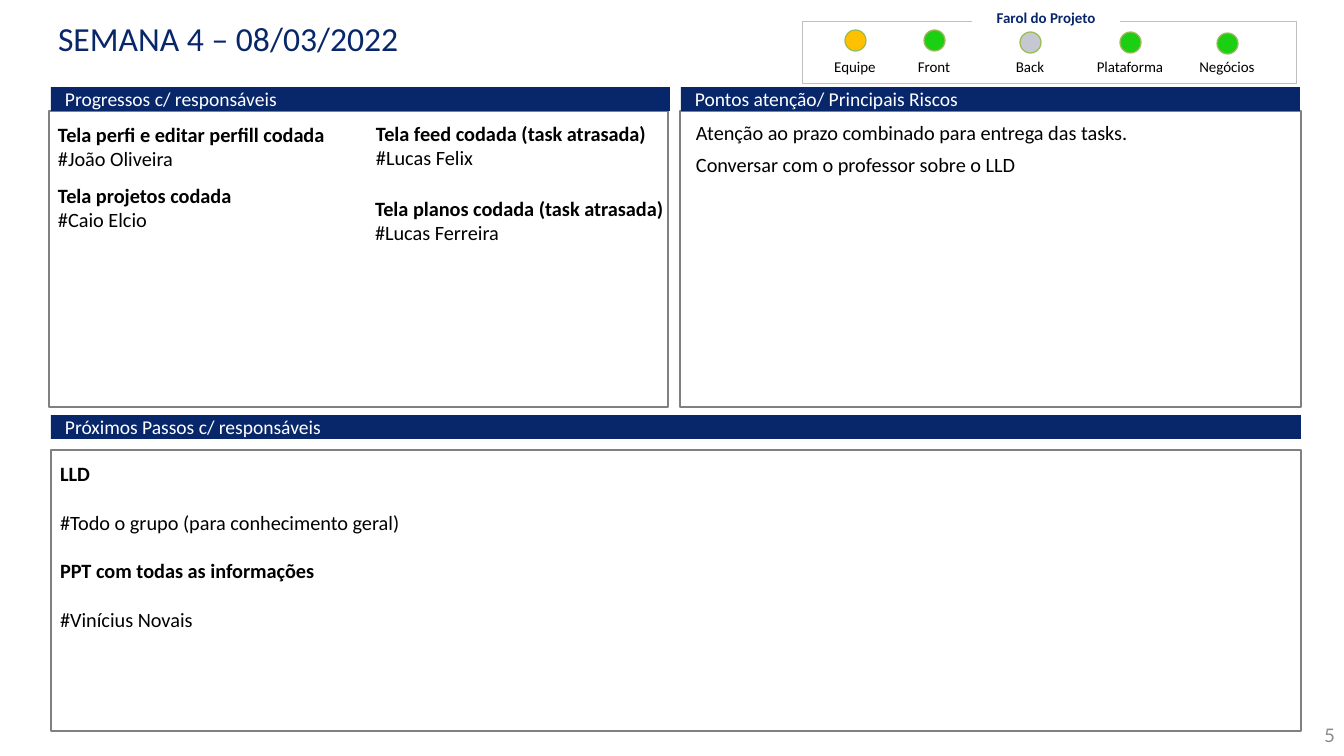
"""Build the weekly project status slide."""
from lxml import etree
from pptx import Presentation
from pptx.dml.color import RGBColor
from pptx.enum import shapes, text
from pptx.oxml import ns
from pptx.util import Pt

PX = 10000
FONT = "Calibri"
NAVY, BLACK, WHITE, GRAY = "08276B", "000000", "FFFFFF", "808080"
GREEN, AMBER, SILVER, OLIVE = "1BCF13", "FFC000", "C5C8D1", "9BBB59"
LEFT, CENTER, RIGHT = text.PP_ALIGN.LEFT, text.PP_ALIGN.CENTER, text.PP_ALIGN.RIGHT
TOP, MIDDLE, BOTTOM = text.MSO_ANCHOR.TOP, text.MSO_ANCHOR.MIDDLE, text.MSO_ANCHOR.BOTTOM

SLIDE_SIZE = (1344, 756)
TITLE = "SEMANA 4 – 08/03/2022"
PAGE_NUMBER = "5"
LEGEND_TITLE = "Farol do Projeto"
LIGHTS = [
    ("Equipe", 855, 30, AMBER),
    ("Front", 934, 30, GREEN),
    ("Back", 1030, 32, SILVER),
    ("Plataforma", 1130, 32, GREEN),
    ("Negócios", 1227, 33, GREEN),
]
HEADERS = [
    ("Progressos c/ responsáveis", (51, 87, 619, 24)),
    ("Pontos atenção/ Principais Riscos", (681, 87, 619, 24)),
    ("Próximos Passos c/ responsáveis", (51, 415, 1250, 24)),
]
PANELS = [(49, 111, 619, 296), (680, 111, 621, 296)]
PROGRESS = [
    (49, 117, "Tela perfi e editar perfill codada", "#João Oliveira"),
    (49, 178, "Tela projetos codada", "#Caio Elcio"),
    (367, 116, "Tela feed codada (task atrasada)", "#Lucas Felix"),
    (366, 191, "Tela planos codada (task atrasada)", "#Lucas Ferreira"),
]
RISKS = [
    (115, "Atenção ao prazo combinado para entrega das tasks."),
    (147, "Conversar com o professor sobre o LLD"),
]
NEXT_BOX = (51, 450, 1250, 281)
NEXT_STEPS = [
    ("LLD", True),
    ("#Todo o grupo (para conhecimento geral)", False),
    ("PPT com todas as informações", True),
    ("#Vinícius Novais", False),
]


def rgb(value):
    """Return the colour for a hex string."""
    return RGBColor.from_string(value)


def px(*lengths):
    """Turn pixel lengths into EMU."""
    return [length * PX for length in lengths]


def place(shape, box):
    """Move and size a shape."""
    shape.left, shape.top, shape.width, shape.height = px(*box)


def write(shape, lines, size, color, align=LEFT, anchor=TOP,
          insets=(9, 5, 9, 5), font=FONT, wrap=True):
    """Fill a shape with (words, bold) lines and return its paragraphs."""
    frame = shape.text_frame
    frame.auto_size = text.MSO_AUTO_SIZE.NONE
    frame.word_wrap = wrap
    frame.vertical_anchor = anchor
    (frame.margin_left, frame.margin_top,
     frame.margin_right, frame.margin_bottom) = px(*insets)
    frame.text = "\n".join(words for words, bold in lines)
    for paragraph, (words, bold) in zip(frame.paragraphs, lines):
        paragraph.alignment = align
        paragraph.font.name = font
        paragraph.font.size = Pt(size)
        paragraph.font.bold = bold
        paragraph.font.color.rgb = rgb(color)
    return frame.paragraphs


def outline(shape, color, width):
    """Draw the border of a shape."""
    shape.line.color.rgb = rgb(color)
    shape.line.width = Pt(width)


def add_box(slide, box, fill=None, line=None, width=1,
            kind=shapes.MSO_SHAPE.RECTANGLE):
    """Add a flat shape with an optional fill and border."""
    shape = slide.shapes.add_shape(kind, *px(*box))
    shape.shadow.inherit = False
    if fill:
        shape.fill.solid()
        shape.fill.fore_color.rgb = rgb(fill)
    else:
        shape.fill.background()
    if line:
        outline(shape, line, width)
    else:
        shape.line.fill.background()
    return shape


def add_text(slide, box, lines, size, color, **options):
    """Add a text box."""
    write(slide.shapes.add_textbox(*px(*box)), lines, size, color, **options)


def add_next_steps(slide):
    """Format the body placeholder as the unbulleted list of next steps."""
    body = slide.placeholders[1]
    place(body, NEXT_BOX)
    outline(body, GRAY, 1)
    for paragraph in write(body, NEXT_STEPS, 16, BLACK, insets=(9, 11, 9, 5)):
        paragraph.space_before = Pt(0)
        paragraph.space_after = Pt(19.2)
        properties = paragraph._p.get_or_add_pPr()
        properties.set("marL", "0")
        properties.set("indent", "0")
        bullet = etree.Element(ns.qn("a:buNone"))
        properties.find(ns.qn("a:spcAft")).addnext(bullet)


def add_legend(slide):
    """Draw the framed row of status lights."""
    caption = dict(align=CENTER, anchor=BOTTOM, insets=(5, 5, 5, 0), wrap=False)
    add_box(slide, (802, 21, 494, 62), line="BFBFBF", width=0.5)
    title = add_box(slide, (972, 5, 148, 21), WHITE)
    write(title, [(LEGEND_TITLE, True)], 11.8, NAVY, **caption)
    for label, center, top, color in LIGHTS:
        add_box(slide, (center - 10, top, 21, 21), color, OLIVE,
                kind=shapes.MSO_SHAPE.OVAL)
        add_text(slide, (center - 45, 58, 90, 18), [(label, False)], 11.8, BLACK,
                 **caption)


def main():
    """Create the presentation and save it."""
    presentation = Presentation()
    presentation.slide_width, presentation.slide_height = px(*SLIDE_SIZE)
    slide = presentation.slides.add_slide(presentation.slide_layouts[1])
    place(slide.shapes.title, (47, 18, 740, 60))
    write(slide.shapes.title, [(TITLE, False)], 26.5, NAVY, insets=(11, 0, 11, 0))
    add_next_steps(slide)
    for panel in PANELS:
        add_box(slide, panel, line=GRAY)
    for words, box in HEADERS:
        write(add_box(slide, box, NAVY), [(words, False)], 15.4, WHITE,
              anchor=MIDDLE, insets=(14, 6, 14, 6))
    for left, top, task, owner in PROGRESS:
        add_text(slide, (left, top, 312, 59), [(task, True), (owner, False)], 16, BLACK)
    for top, words in RISKS:
        add_text(slide, (687, top, 600, 34), [(words, False)], 16, BLACK)
    add_legend(slide)
    add_text(slide, (1277, 719, 67, 32), [(PAGE_NUMBER, False)], 14.7, "8C8C8C",
             align=RIGHT, anchor=MIDDLE, font="Lato")
    presentation.save("out.pptx")


if __name__ == "__main__":
    main()
